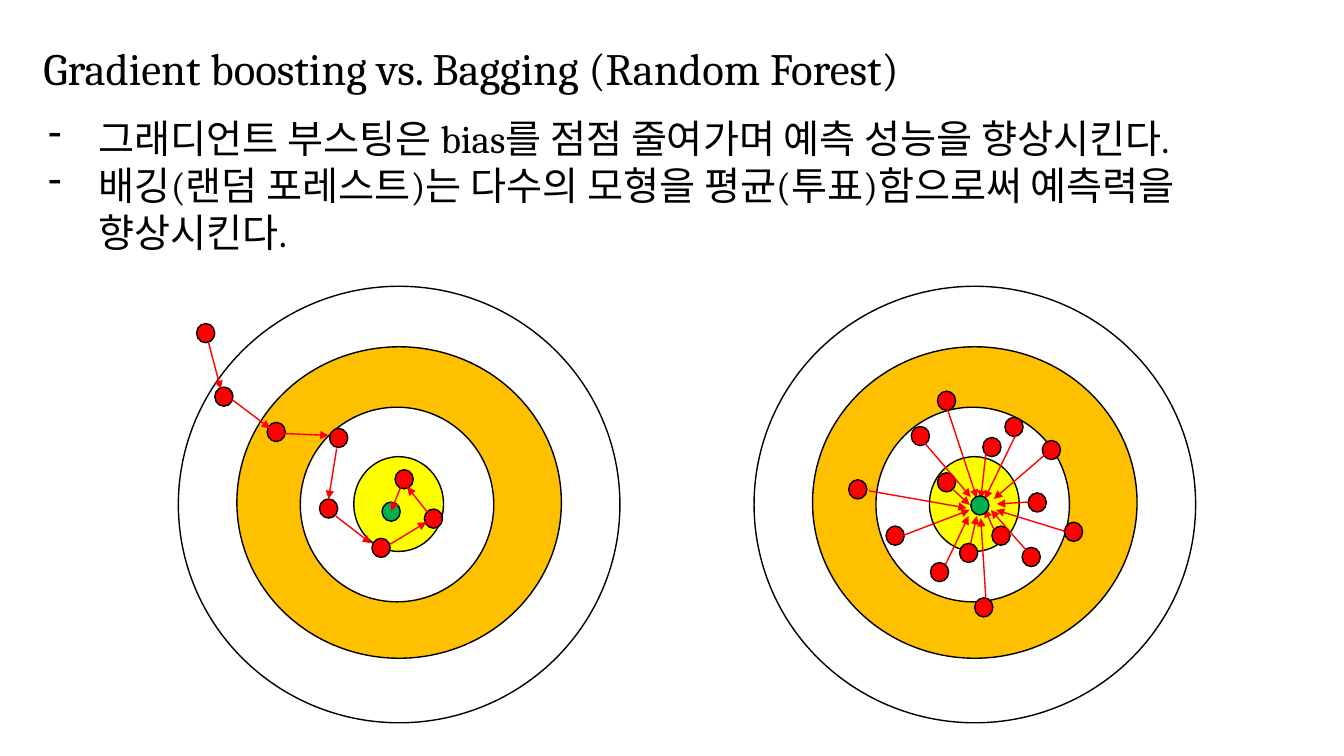
from lxml import etree
from pptx import Presentation
from pptx.dml.color import RGBColor
from pptx.enum.shapes import MSO_CONNECTOR, MSO_SHAPE
from pptx.enum.text import MSO_ANCHOR, MSO_AUTO_SIZE, PP_ALIGN
from pptx.oxml.ns import qn
from pptx.util import Pt

OVAL = MSO_SHAPE.OVAL
STRAIGHT = MSO_CONNECTOR.STRAIGHT
TOP, LEFT = MSO_ANCHOR.TOP, PP_ALIGN.LEFT
NO_AUTOFIT = MSO_AUTO_SIZE.NONE

COLORS = {
    "ink": "000000",
    "orange": "FFC000",
    "white": "FFFFFF",
    "yellow": "FFFF00",
    "model": "FF0000",
    "truth": "00B050",
}
FONT = "Cambria"
DOT_SIZE = (13, 13.7)
LINE_WIDTH = 1

TITLE = "Gradient boosting vs. Bagging (Random Forest)"
POINTS = [
    "그래디언트 부스팅은 bias를 점점 줄여가며 예측 성능을 향상시킨다.",
    "배깅(랜덤 포레스트)는 다수의 모형을 평균(투표)함으로써 예측력을 향상시킨다.",
]

# Rings of one target: offset from its left edge, top, width, height, fill
RINGS = [
    (41.8, 247.7, 231.8, 222.5, "orange"),
    (0, 204.5, 315.4, 311.8, None),
    (87.1, 290.9, 138.2, 139, "white"),
    (125.3, 326.2, 64.1, 67.7, "yellow"),
]

# Each model: dot corner, arrow start, arrow end
BOOSTING = [
    ((140.4, 231.1), (149, 244.8), (157.7, 277.9)),
    ((153.4, 276.5), (166.3, 285.8), (193, 306)),
    ((190.8, 301.7), (201.6, 309.6), (234.7, 311)),
    ((235.4, 306), (240.5, 320.4), (234.7, 356.4)),
    ((228.2, 356.4), (239.8, 368.6), (265, 388.1)),
    ((265.7, 384.5), (278.6, 388.8), (304.6, 373)),
    ((303.1, 363.6), (305.3, 365.8), (290.9, 347.8)),
    ((282.2, 335.5), (288, 343.4), (279.4, 365)),
]
BAGGING = [
    ((606.2, 342.7), (620.6, 350.6), (690.5, 362.9)),
    ((632.9, 375.8), (643.7, 383), (692.6, 364.3)),
    ((650.9, 304.6), (660.2, 316.1), (693.4, 355)),
    ((669.6, 279.4), (676.1, 290.2), (697.7, 355.7)),
    ((669.6, 337.7), (681.1, 349.9), (692.6, 360.7)),
    ((664.6, 401.8), (675.4, 403.2), (691.9, 368.6)),
    ((696.2, 427), (704.2, 427.7), (700.6, 370.1)),
    ((685.4, 388.1), (693.4, 388.1), (697.7, 368.6)),
    ((730.1, 391), (733.7, 393.8), (707.8, 364.3)),
    ((708.5, 375.8), (709.9, 378), (703.4, 363.6)),
    ((702, 312.5), (704.2, 324), (700.6, 356.4)),
    ((717.8, 298.1), (725, 311.8), (703.4, 356.4)),
    ((744.5, 314.6), (747.4, 324), (709.9, 356.4)),
    ((734.4, 352.1), (734.4, 358.6), (712.1, 360)),
    ((760.3, 373), (760.3, 379.4), (711.4, 364.3)),
]


def color(name):
    return RGBColor.from_string(COLORS[name])


def apply_format(item, values):
    for attribute, value in values.items():
        setattr(item, attribute, value)


def fill_placeholder(holder, box, lines, size):
    left, top, width, height = map(Pt, box)
    apply_format(holder, {"left": left, "top": top,
                          "width": width, "height": height})
    frame = holder.text_frame
    frame.text = "\n".join(lines)
    apply_format(frame, {"word_wrap": True, "auto_size": NO_AUTOFIT,
                         "vertical_anchor": TOP})
    for paragraph in frame.paragraphs:
        apply_format(paragraph, {"alignment": LEFT, "line_spacing": 1.0,
                                 "space_before": Pt(0), "space_after": Pt(0)})
        for run in paragraph.runs:
            apply_format(run.font, {"name": FONT, "size": Pt(size)})
            run.font.color.rgb = color("ink")


def add_dashes(frame, indent):
    for paragraph in frame.paragraphs:
        properties = paragraph._p.get_or_add_pPr()
        properties.set("marL", str(Pt(indent)))
        properties.set("indent", str(-Pt(indent)))
        etree.SubElement(properties, qn("a:buFontTx"))
        etree.SubElement(properties, qn("a:buChar"), char="-")


def add_circle(group, left, top, width, height, fill):
    circle = group.shapes.add_shape(OVAL, Pt(left), Pt(top), Pt(width), Pt(height))
    circle.shadow.inherit = False
    if fill:
        circle.fill.solid()
        circle.fill.fore_color.rgb = color(fill)
    else:
        circle.fill.background()
    circle.line.color.rgb = color("ink")
    circle.line.width = Pt(LINE_WIDTH)


def add_arrow(group, start, end):
    arrow = group.shapes.add_connector(STRAIGHT, *map(Pt, start + end))
    arrow.line.color.rgb = color("model")
    arrow.line.width = Pt(LINE_WIDTH)
    etree.SubElement(arrow.line._get_or_add_ln(), qn("a:tailEnd"), type="triangle")
    etree.SubElement(arrow._element.spPr, qn("a:effectLst"))


def add_target(slide, left, models, truth, truth_on_top):
    group = slide.shapes.add_group_shape()
    for offset, top, width, height, fill in RINGS:
        add_circle(group, left + offset, top, width, height, fill)
    for corner, _, _ in models:
        add_circle(group, *corner, *DOT_SIZE, "model")
    if not truth_on_top:
        add_circle(group, *truth, *DOT_SIZE, "truth")
    for _, start, end in models:
        add_arrow(group, start, end)
    if truth_on_top:
        add_circle(group, *truth, *DOT_SIZE, "truth")


def main():
    deck = Presentation()
    deck.slide_width, deck.slide_height = Pt(960), Pt(540)
    slide = deck.slides.add_slide(deck.slide_layouts[1])

    # Title and key points
    fill_placeholder(slide.shapes.title, (23.8, 25.2, 883.4, 46.1), [TITLE], 32)
    summary = slide.placeholders[1]
    fill_placeholder(summary, (27.4, 77.8, 905, 108.7), POINTS, 28)
    add_dashes(summary.text_frame, 36)

    # Boosting walks to the truth, bagging averages around it
    add_target(slide, 127.4, BOOSTING, (272.9, 358.6), False)
    add_target(slide, 538.6, BAGGING, (693.4, 354.2), True)

    deck.save("out.pptx")


if __name__ == "__main__":
    main()
